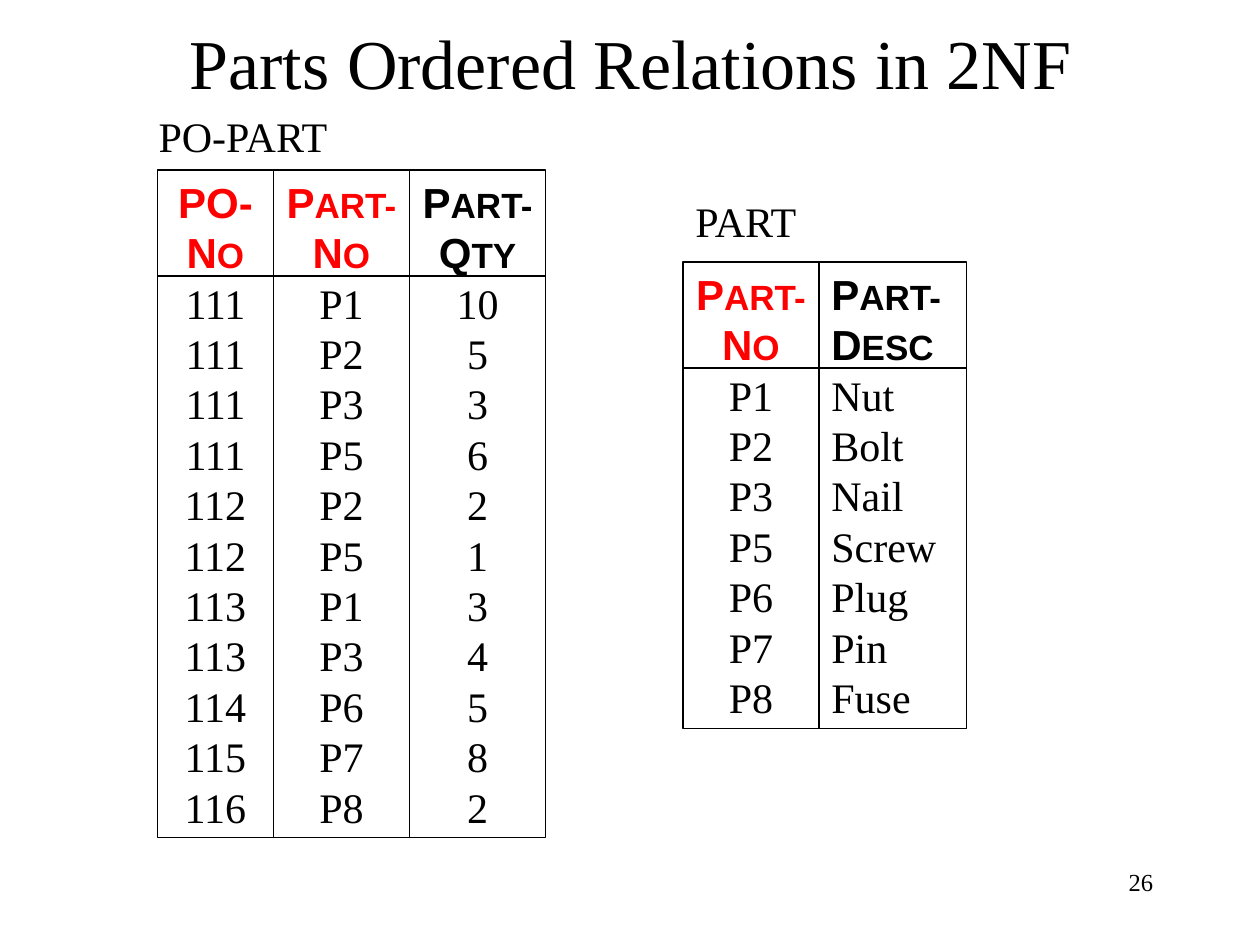
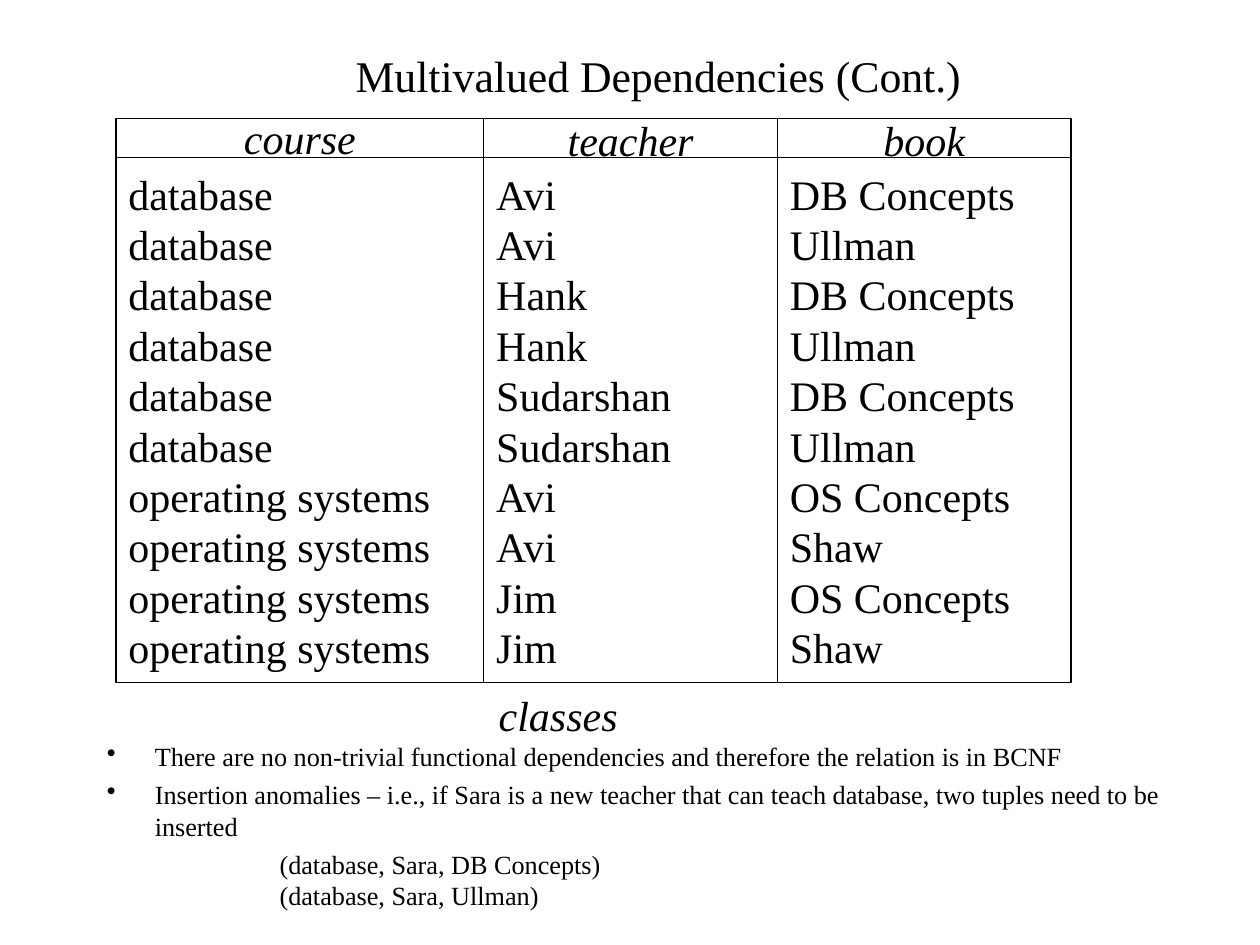
from dataclasses import dataclass
from typing import Optional

from lxml.etree import SubElement
from pptx import Presentation
from pptx.dml.color import RGBColor
from pptx.enum.shapes import MSO_CONNECTOR, MSO_SHAPE
from pptx.enum.text import MSO_ANCHOR, MSO_AUTO_SIZE, PP_ALIGN
from pptx.oxml.ns import qn
from pptx.util import Inches, Pt

BLACK, RED, WHITE = "000000", "FF0000", "FFFFFF"
SERIF, SANS = "Times New Roman", "Arial"
LINE_FACTOR = 1.2
LINE_WIDTH = Pt(0.75)
BODY_SIZE, SMALL_CAP_SIZE = 24, 20


@dataclass(frozen=True)
class Area:
    left: float
    top: float
    width: float
    height: float

    def lengths(self) -> tuple:
        return tuple(Inches(v) for v in (self.left, self.top, self.width, self.height))


@dataclass(frozen=True)
class Style:
    size: float = BODY_SIZE
    font: str = SERIF
    color: str = BLACK
    bold: bool = False
    italic: bool = False
    align: PP_ALIGN = PP_ALIGN.LEFT


@dataclass(frozen=True)
class Column:
    width: float
    header: str
    values: list[str]
    align: PP_ALIGN = PP_ALIGN.CENTER
    header_color: str = BLACK


@dataclass(frozen=True)
class Relation:
    name: str
    name_area: Area
    left: float
    top: float
    height: float
    rule_y: float
    columns: list[Column]


def rgb(color: str) -> RGBColor:
    return RGBColor.from_string(color)


def style_font(font, style: Style) -> None:
    font.name, font.size = style.font, Pt(style.size)
    font.bold, font.italic = style.bold, style.italic
    font.color.rgb = rgb(style.color)


def style_paragraph(para, style: Style) -> None:
    para.alignment = style.align
    para.line_spacing = Pt(style.size * LINE_FACTOR)
    for font in (para.font, *(span.font for span in para.runs)):
        style_font(font, style)


def prepare_frame(shape, anchor=MSO_ANCHOR.TOP):
    frame = shape.text_frame
    frame.word_wrap = True
    frame.auto_size = MSO_AUTO_SIZE.NONE
    frame.vertical_anchor = anchor
    return frame


def write_lines(frame, lines: list[str], style: Style) -> list:
    paras = []
    for index, line in enumerate(lines):
        para = frame.add_paragraph() if index or frame.text else frame.paragraphs[0]
        para.text = line
        style_paragraph(para, style)
        paras.append(para)
    return paras


def write_small_caps(para, header: str, color: str, align: PP_ALIGN) -> None:
    style = Style(font=SANS, color=color, bold=True, align=align)
    for index, piece in enumerate(header.split("|")):
        para.add_run().text = piece
    style_paragraph(para, style)
    for span in para.runs[1::2]:
        span.font.size = Pt(SMALL_CAP_SIZE)


def add_text(page, area: Area, lines: list[str], style: Style) -> list:
    box = page.shapes.add_textbox(*area.lengths())
    return write_lines(prepare_frame(box), lines, style)


def add_frame(page, area: Area, fill: Optional[str] = None, anchor=MSO_ANCHOR.TOP):
    box = page.shapes.add_shape(MSO_SHAPE.RECTANGLE, *area.lengths())
    box.shadow.inherit = False
    if fill:
        box.fill.solid()
        box.fill.fore_color.rgb = rgb(fill)
    else:
        box.fill.background()
    box.line.color.rgb = rgb(BLACK)
    box.line.width = LINE_WIDTH
    return prepare_frame(box, anchor)


def add_rule(page, left: float, right: float, y: float) -> None:
    rule = page.shapes.add_connector(
        MSO_CONNECTOR.STRAIGHT, Inches(left), Inches(y), Inches(right), Inches(y)
    )
    rule.line.color.rgb = rgb(BLACK)
    rule.line.width = LINE_WIDTH
    SubElement(rule._element.spPr, qn("a:effectLst"))


def add_titled_page(deck, title: str, area: Area, size: float):
    page = deck.slides.add_slide(deck.slide_layouts[5])
    box = page.shapes.title
    box.left, box.top, box.width, box.height = area.lengths()
    frame = prepare_frame(box, MSO_ANCHOR.MIDDLE)
    write_lines(frame, [title], Style(size, align=PP_ALIGN.CENTER))
    return page


def add_relation(page, relation: Relation) -> None:
    add_text(page, relation.name_area, [relation.name], Style())
    left = relation.left
    for column in relation.columns:
        frame = add_frame(page, Area(left, relation.top, column.width, relation.height))
        write_small_caps(frame.paragraphs[0], column.header, column.header_color, column.align)
        write_lines(frame, column.values, Style(align=column.align))
        left += column.width
    add_rule(page, relation.left, left, relation.rule_y)


def add_bullet(para) -> None:
    properties = para._p.get_or_add_pPr()
    properties.set("marL", str(Inches(0.38)))
    properties.set("indent", str(-Inches(0.38)))
    bullet = SubElement(properties, qn("a:buChar"))
    bullet.set("char", "•")
    properties.find(qn("a:defRPr")).addprevious(bullet)


def build_parts_page(deck) -> None:
    page = add_titled_page(
        deck, "Parts Ordered Relations in 2NF", Area(0.42, 0.22, 9.17, 0.53), 40
    )
    add_text(page, Area(7.17, 6.83, 2.08, 0.5), ["26"], Style(14, align=PP_ALIGN.RIGHT))
    part_no = "P|ART-|N|O"
    add_relation(page, Relation(
        "PO-PART", Area(1.16, 0.83, 1.59, 0.5), 1.25, 1.35, 5.3, 2.19,
        [
            Column(0.92, "PO-N|O",
                   "111 111 111 111 112 112 113 113 114 115 116".split(), header_color=RED),
            Column(1.08, part_no, "P1 P2 P3 P5 P2 P5 P1 P3 P6 P7 P8".split(), header_color=RED),
            Column(1.08, "P|ART-|Q|TY", "10 5 3 6 2 1 3 4 5 8 2".split()),
        ],
    ))
    add_relation(page, Relation(
        "PART", Area(5.42, 1.5, 1.05, 0.5), 5.42, 2.08, 3.7, 2.92,
        [
            Column(1.08, part_no, "P1 P2 P3 P5 P6 P7 P8".split(), header_color=RED),
            Column(1.17, "P|ART-|D|ESC",
                   "Nut Bolt Nail Screw Plug Pin Fuse".split(), PP_ALIGN.LEFT),
        ],
    ))


def build_dependencies_page(deck) -> None:
    page = add_titled_page(
        deck, "Multivalued Dependencies (Cont.)", Area(0.83, 0.25, 8.79, 0.69), 25
    )
    notes = add_text(page, Area(0.75, 5.83, 8.58, 1.5), [
        "There are no non-trivial functional dependencies and therefore the relation is in BCNF",
        "Insertion anomalies – i.e., if Sara is a new teacher that can teach database, "
        "two tuples need to be inserted",
        "(database, Sara, DB Concepts)\v(database, Sara, Ullman)",
    ], Style(15))
    for para in notes:
        para.space_before = Pt(3.7)
    for para in notes[:2]:
        add_bullet(para)
    notes[2]._p.get_or_add_pPr().set("marL", str(Inches(1.37)))

    teachers = ["Avi", "Hank", "Sudarshan", "Avi", "Jim"]
    columns = [
        Column(2.92, "course", ["database"] * 6 + ["operating systems"] * 4),
        Column(2.33, "teacher", [name for name in teachers for _ in range(2)]),
        Column(2.33, "book", ["DB Concepts", "Ullman"] * 3 + ["OS Concepts", "Shaw"] * 2),
    ]
    left = 0.92
    for column in columns:
        header_height = 0.31 if column.header == "course" else 0.33
        header = add_frame(page, Area(left, 0.94, column.width, header_height),
                           WHITE, MSO_ANCHOR.MIDDLE)
        write_lines(header, [column.header], Style(italic=True, align=PP_ALIGN.CENTER))
        body = add_frame(page, Area(left, 1.25, column.width, 4.17), WHITE, MSO_ANCHOR.MIDDLE)
        write_lines(body, column.values, Style())
        left += column.width
    add_text(page, Area(3.86, 5.42, 1.2, 0.5), ["classes"], Style(italic=True))


def main() -> None:
    deck = Presentation()
    deck.slide_width, deck.slide_height = Inches(10), Inches(7.5)
    build_parts_page(deck)
    build_dependencies_page(deck)
    deck.save("out.pptx")


if __name__ == "__main__":
    main()
